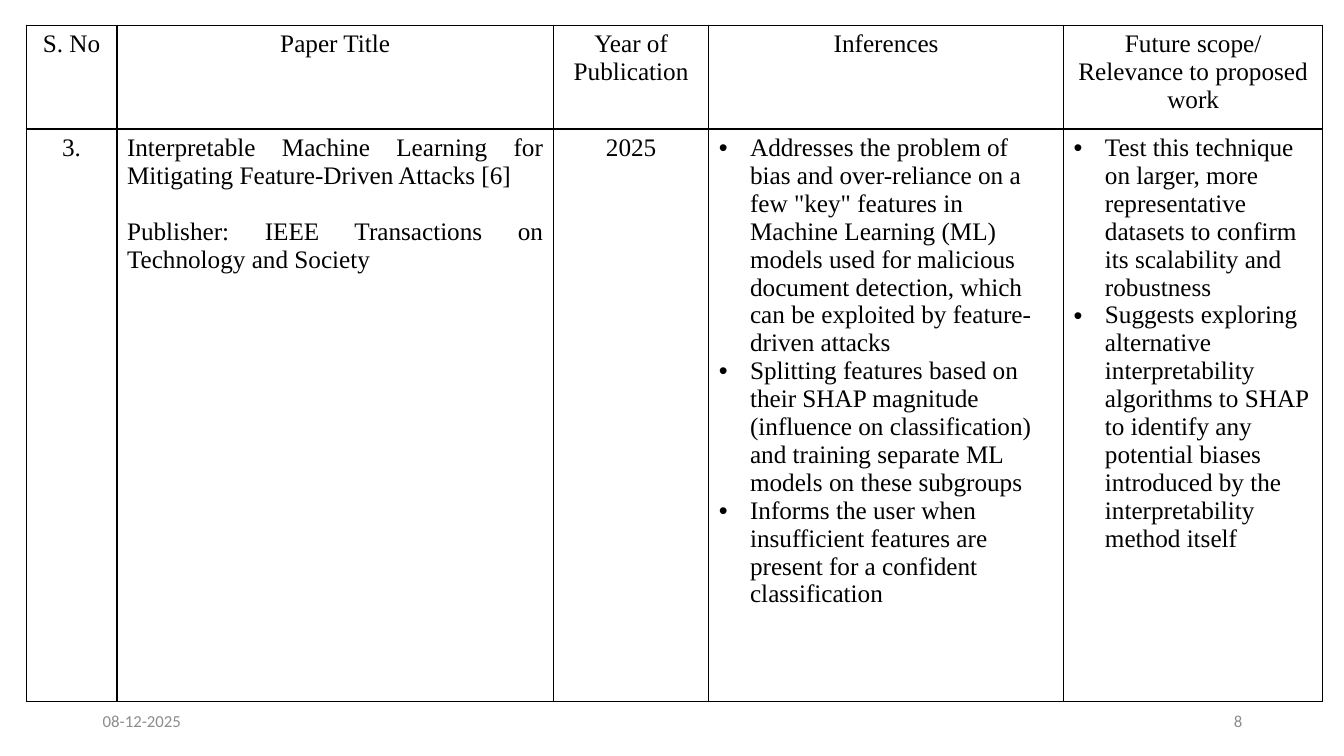
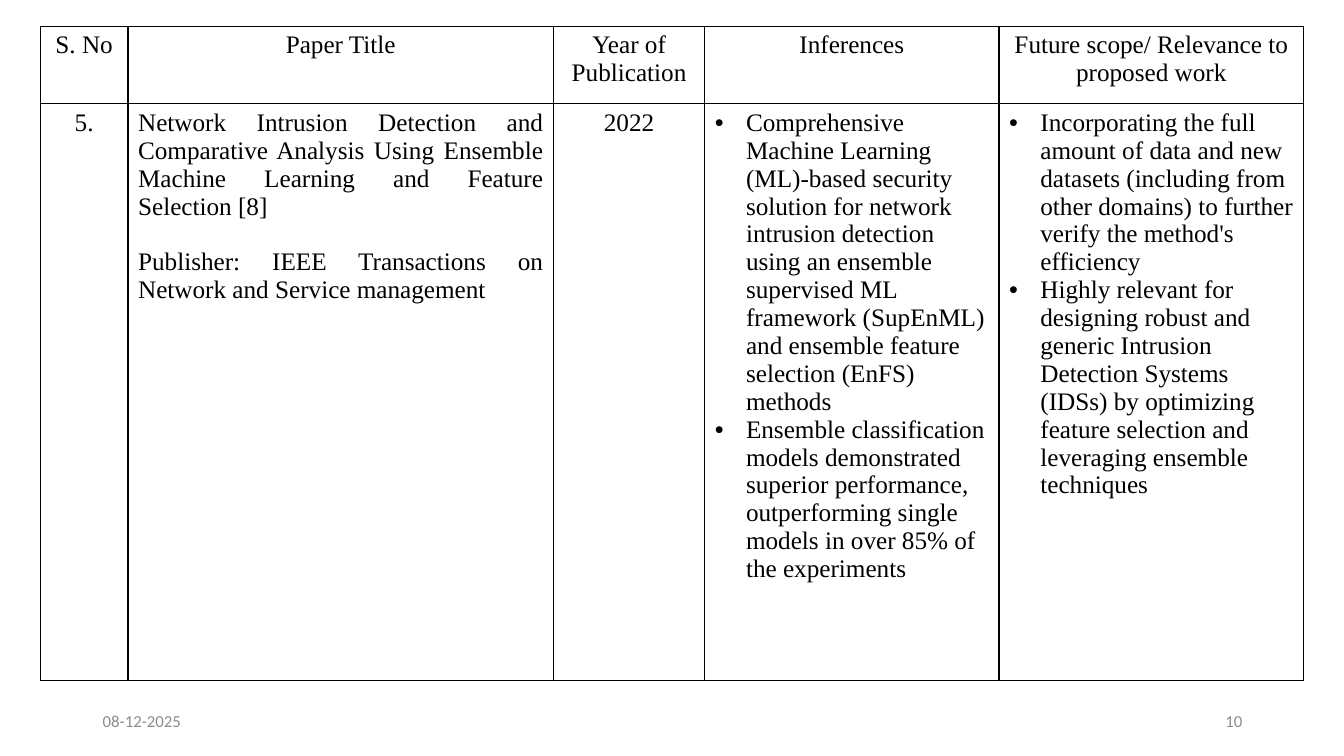
from dataclasses import dataclass

from lxml import etree
from pptx import Presentation
from pptx.dml.color import RGBColor
from pptx.enum import text
from pptx.oxml import ns
from pptx.util import Inches, Pt


@dataclass(frozen=True)
class Theme:
    ink: str = "000000"
    muted: str = "8C8C8C"
    table_font: str = "Times New Roman"
    footer_font: str = "Calibri"
    table_size: int = 18
    footer_size: int = 12
    border_width: int = 1
    publisher_gap: int = 20
    bullet_indent: float = 0.31


THEME = Theme()
ALIGN = text.PP_ALIGN
DATE = "08-12-2025"
HEADINGS = ["S. No", "Paper Title", "Year of Publication", "Inferences",
            "Future scope/ Relevance to proposed work"]


@dataclass(frozen=True)
class Review:
    """One reviewed paper and the table measures of its slide."""
    page_number: int
    left: float
    top: float
    columns: tuple
    rows: tuple
    serial: str
    title: str
    publisher: str
    year: str
    inferences: tuple
    scope: tuple


REVIEWS = [
    Review(
        8, 0.26, 0.25, (0.9, 4.33, 1.54, 3.52, 2.57), (1.03, 5.68), "3.",
        "Interpretable Machine Learning for Mitigating Feature-Driven Attacks [6]",
        "Publisher: IEEE Transactions on Technology and Society",
        "2025",
        ("Addresses the problem of bias and over-reliance on a few \"key\" features in "
         "Machine Learning (ML) models used for malicious document detection, which can "
         "be exploited by feature-driven attacks",
         "Splitting features based on their SHAP magnitude (influence on classification) "
         "and training separate ML models on these subgroups",
         "Informs the user when insufficient features are present for a confident "
         "classification"),
        ("Test this technique on larger, more representative datasets to confirm its "
         "scalability and robustness",
         "Suggests exploring alternative interpretability algorithms to SHAP to identify "
         "any potential biases introduced by the interpretability method itself"),
    ),
    Review(
        10, 0.4, 0.26, (0.87, 4.22, 1.5, 2.92, 3.02), (0.77, 5.72), "5.",
        "Network Intrusion Detection and Comparative Analysis Using Ensemble Machine "
        "Learning and Feature Selection [8]",
        "Publisher: IEEE Transactions on Network and Service management",
        "2022",
        ("Comprehensive Machine Learning (ML)-based security solution for network "
         "intrusion detection using an ensemble supervised ML framework (SupEnML) and "
         "ensemble feature selection (EnFS) methods",
         "Ensemble classification models demonstrated superior performance, "
         "outperforming single models in over 85% of the experiments"),
        ("Incorporating the full amount of data and new datasets (including from other "
         "domains) to further verify the method's efficiency",
         "Highly relevant for designing robust and generic Intrusion Detection Systems "
         "(IDSs) by optimizing feature selection and leveraging ensemble techniques"),
    ),
]


def add_span(para, words, font, size, color):
    span = para.add_run()
    span.text = words
    span.font.name = font
    span.font.size = Pt(size)
    span.font.color.rgb = RGBColor.from_string(color)


def add_bullet(para):
    indent = Inches(THEME.bullet_indent)
    properties = para._p.get_or_add_pPr()
    properties.set("marL", str(indent))
    properties.set("indent", str(-indent))
    font = etree.SubElement(properties, ns.qn("a:buFont"))
    font.set("typeface", "Arial")
    etree.SubElement(properties, ns.qn("a:buChar")).set("char", "•")


def write_cell(cell, lines, align, bulleted=False, gap=0):
    """Write one paragraph per line, with gap points between them."""
    for index, line in enumerate(lines):
        frame = cell.text_frame
        para = frame.add_paragraph() if index else frame.paragraphs[0]
        para.alignment = align
        if index and gap:
            para.space_before = Pt(gap)
        if bulleted:
            add_bullet(para)
        add_span(para, line, THEME.table_font, THEME.table_size, THEME.ink)


def outline_cell(cell):
    properties = cell._tc.get_or_add_tcPr()
    for side in ("lnL", "lnR", "lnT", "lnB"):
        line = etree.SubElement(properties, ns.qn("a:" + side))
        line.set("w", str(Pt(THEME.border_width)))
        fill = etree.SubElement(line, ns.qn("a:solidFill"))
        etree.SubElement(fill, ns.qn("a:srgbClr")).set("val", THEME.ink)
    cell.fill.background()


def add_review_table(page, review):
    frame = page.shapes.add_table(
        len(review.rows), len(review.columns), Inches(review.left), Inches(review.top),
        Inches(sum(review.columns)), Inches(sum(review.rows)))
    table = frame.table
    table.first_row = table.horz_banding = False
    for column, width in zip(table.columns, review.columns):
        column.width = Inches(width)
    for row, height in zip(table.rows, review.rows):
        row.height = Inches(height)
    for cell in table.iter_cells():
        outline_cell(cell)

    for index, heading in enumerate(HEADINGS):
        write_cell(table.cell(0, index), [heading], ALIGN.CENTER)
    serial, paper, year, inferences, scope = table.rows[1].cells
    write_cell(serial, [review.serial], ALIGN.CENTER)
    write_cell(paper, [review.title, review.publisher], ALIGN.JUSTIFY,
               gap=THEME.publisher_gap)
    write_cell(year, [review.year], ALIGN.CENTER)
    write_cell(inferences, review.inferences, ALIGN.LEFT, bulleted=True)
    write_cell(scope, review.scope, ALIGN.LEFT, bulleted=True)


def add_footer(page, page_number):
    for left, words, align in ((0.92, DATE, ALIGN.LEFT),
                               (9.42, str(page_number), ALIGN.RIGHT)):
        box = page.shapes.add_textbox(Inches(left), Inches(6.95), Inches(3), Inches(0.4))
        frame = box.text_frame
        frame.word_wrap = True
        frame.vertical_anchor = text.MSO_ANCHOR.MIDDLE
        para = frame.paragraphs[0]
        para.alignment = align
        add_span(para, words, THEME.footer_font, THEME.footer_size, THEME.muted)


def main():
    deck = Presentation()
    deck.slide_width, deck.slide_height = Inches(13.33), Inches(7.5)
    blank = deck.slide_layouts.get_by_name("Blank")
    for review in REVIEWS:
        page = deck.slides.add_slide(blank)
        add_footer(page, review.page_number)
        add_review_table(page, review)
    deck.save("out.pptx")


if __name__ == "__main__":
    main()
